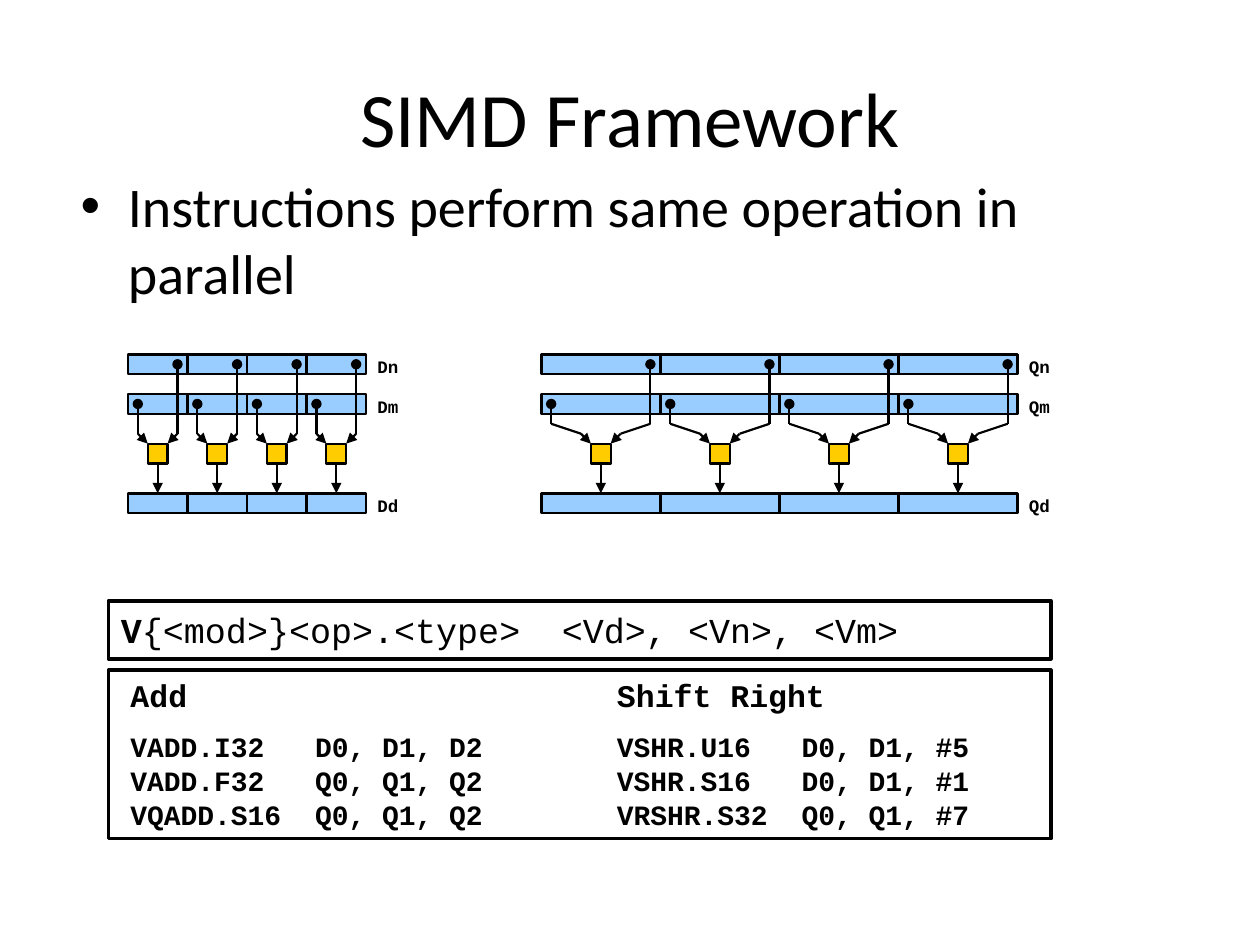
from dataclasses import dataclass

from lxml import etree
from pptx import Presentation
from pptx.dml.color import RGBColor
from pptx.enum.shapes import MSO_CONNECTOR, MSO_SHAPE
from pptx.enum.text import MSO_ANCHOR, PP_ALIGN
from pptx.oxml.ns import qn
from pptx.util import Pt

RECTANGLE = MSO_SHAPE.RECTANGLE
STRAIGHT = MSO_CONNECTOR.STRAIGHT
MIDDLE, TOP = MSO_ANCHOR.MIDDLE, MSO_ANCHOR.TOP
CENTER, LEFT = PP_ALIGN.CENTER, PP_ALIGN.LEFT


@dataclass(frozen=True)
class Theme:
    ink: RGBColor = RGBColor(0, 0, 0)
    register: RGBColor = RGBColor(0x99, 0xCC, 0xFF)
    operation: RGBColor = RGBColor(0xFF, 0xCC, 0x00)
    sans: str = "Calibri"
    mono: str = "Courier New"
    title: int = 44
    body: int = 32
    syntax: int = 20
    heading: int = 18
    code: int = 16
    label: int = 10


THEME = Theme()

# Register diagrams sit on a square grid
UNIT = 11.34
DIAGRAM_TOP = 202.5
LANES = 4
SOURCE_N, SOURCE_M, OPERATION, DESTINATION = 0, 2, 4.5, 7


def grid_y(rows):
    return DIAGRAM_TOP + rows * UNIT


def write_text(paragraph, text, *, size, font=THEME.mono, bold=False,
               align=LEFT, before=0, spacing=None, tab=None):
    """Append text to a paragraph; a newline becomes a line break."""
    paragraph.alignment = align
    paragraph.space_before = Pt(before)
    if spacing:
        paragraph.line_spacing = spacing
    for index, line in enumerate(text.split("\n")):
        if index:
            paragraph.add_line_break()
        run = paragraph.add_run()
        run.text = line
        run.font.size = Pt(size)
        run.font.name = font
        run.font.bold = bold
        run.font.color.rgb = THEME.ink
    if tab:
        stops = etree.SubElement(paragraph._p.get_or_add_pPr(), qn("a:tabLst"))
        etree.SubElement(stops, qn("a:tab"), pos=str(Pt(tab)), algn="l")


def add_bullet(paragraph, indent):
    properties = paragraph._p.get_or_add_pPr()
    properties.set("marL", str(Pt(indent)))
    properties.set("indent", str(Pt(-indent)))
    etree.SubElement(properties, qn("a:buFont"), typeface="Arial")
    etree.SubElement(properties, qn("a:buChar"), char="•")


def add_text_box(shapes, left, top, width, height, anchor=TOP):
    frame = shapes.add_textbox(Pt(left), Pt(top), Pt(width), Pt(height)).text_frame
    frame.word_wrap = True
    frame.vertical_anchor = anchor
    return frame


def add_rectangle(shapes, left, top, width, height, *, line, fill=None):
    shape = shapes.add_shape(RECTANGLE, Pt(left), Pt(top), Pt(width), Pt(height))
    shape.shadow.inherit = False
    if fill is None:
        shape.fill.background()
    else:
        shape.fill.solid()
        shape.fill.fore_color.rgb = fill
    shape.line.color.rgb = THEME.ink
    shape.line.width = Pt(line)
    return shape


def add_line(shapes, start, end, head=None, tail=None):
    connector = shapes.add_connector(STRAIGHT, *(Pt(value) for value in start + end))
    connector.line.color.rgb = THEME.ink
    connector.line.width = Pt(1.25)
    outline = connector.line._get_or_add_ln()
    for tag, kind in (("a:headEnd", head), ("a:tailEnd", tail)):
        if kind:
            etree.SubElement(outline, qn(tag), type=kind)
    etree.SubElement(connector._element.spPr, qn("a:effectLst"))


def add_register(shapes, name, left, row, lane_width):
    top = grid_y(row)
    for lane in range(LANES):
        add_rectangle(shapes, left + lane * lane_width, top, lane_width, UNIT,
                      line=1.5, fill=THEME.register)
    frame = add_text_box(shapes, left + LANES * lane_width, top, 27.2, 15.8)
    frame.margin_left = frame.margin_right = Pt(6.5)
    frame.margin_top = frame.margin_bottom = Pt(3.2)
    write_text(frame.paragraphs[0], name, size=THEME.label, bold=True, spacing=0.8)


def add_operand(shapes, source_x, source_row, center, side):
    """Route one operand to the left (-1) or right (1) corner of its operation."""
    bend = (center + side * UNIT, grid_y(4))
    source = (source_x, grid_y(source_row + 0.5))
    if abs(source_x - bend[0]) < 1:
        add_line(shapes, source, bend, head="oval")
    else:
        knee = (source_x, grid_y(3.5))
        add_line(shapes, source, knee, head="oval")
        add_line(shapes, knee, bend)
    add_line(shapes, bend, (center + side * UNIT / 2, grid_y(OPERATION)),
             tail="triangle")


def add_diagram(slide, prefix, left, lane_units):
    shapes = slide.shapes.add_group_shape().shapes
    lane_width = lane_units * UNIT
    for suffix, row in (("n", SOURCE_N), ("m", SOURCE_M), ("d", DESTINATION)):
        add_register(shapes, prefix + suffix, left, row, lane_width)
    for lane in range(LANES):
        lane_left = left + lane * lane_width
        center = lane_left + lane_width / 2
        add_operand(shapes, lane_left + UNIT / 2, SOURCE_M, center, -1)
        add_operand(shapes, lane_left + lane_width - UNIT / 2, SOURCE_N, center, 1)
        add_rectangle(shapes, center - UNIT / 2, grid_y(OPERATION), UNIT, UNIT,
                      line=1.25, fill=THEME.operation)
        add_line(shapes, (center, grid_y(OPERATION + 1)),
                 (center, grid_y(DESTINATION)), tail="triangle")


def add_examples(shapes, left, heading, code):
    frame = add_text_box(shapes, left, 383, 227, 97)
    write_text(frame.paragraphs[0], heading, size=THEME.heading, bold=True)
    write_text(frame.add_paragraph(), code, size=THEME.code, bold=True,
               before=9, tab=105.6)


def add_syntax(slide):
    shapes = slide.shapes.add_group_shape().shapes
    # Instruction format
    frame = add_rectangle(shapes, 62, 343.3, 538.5, 33.2, line=2).text_frame
    frame.word_wrap = True
    frame.vertical_anchor = MIDDLE
    paragraph = frame.paragraphs[0]
    write_text(paragraph, "V", size=THEME.syntax, bold=True)
    write_text(paragraph, "{<mod>}<op>.<type>\t<Vd>, <Vn>, <Vm>",
               size=THEME.syntax, tab=252)
    # Example instructions
    add_examples(shapes, 67.5, "Add",
                 "VADD.I32\tD0, D1, D2\nVADD.F32\tQ0, Q1, Q2\nVQADD.S16\tQ0, Q1, Q2")
    add_examples(shapes, 345.5, "Shift Right",
                 "VSHR.U16\tD0, D1, #5\nVSHR.S16\tD0, D1, #1\nVRSHR.S32\tQ0, Q1, #7")
    add_rectangle(shapes, 62, 383, 538.5, 96.3, line=2)


def main():
    presentation = Presentation()
    presentation.slide_width, presentation.slide_height = Pt(720), Pt(540)
    slide = presentation.slides.add_slide(presentation.slide_layouts[6])

    # Title and statement
    title = add_text_box(slide.shapes, 36, 21.6, 648, 90, MIDDLE)
    write_text(title.paragraphs[0], "SIMD Framework", size=THEME.title,
               font=THEME.sans, align=CENTER)
    body = add_text_box(slide.shapes, 39, 94.5, 642, 392.5)
    write_text(body.paragraphs[0], "Instructions perform same operation in parallel",
               size=THEME.body, font=THEME.sans)
    add_bullet(body.paragraphs[0], 27)

    # Double-word and quad-word registers
    add_diagram(slide, "D", 73.1, 3)
    add_diagram(slide, "Q", 309.3, 6)

    add_syntax(slide)
    presentation.save("out.pptx")


if __name__ == "__main__":
    main()
